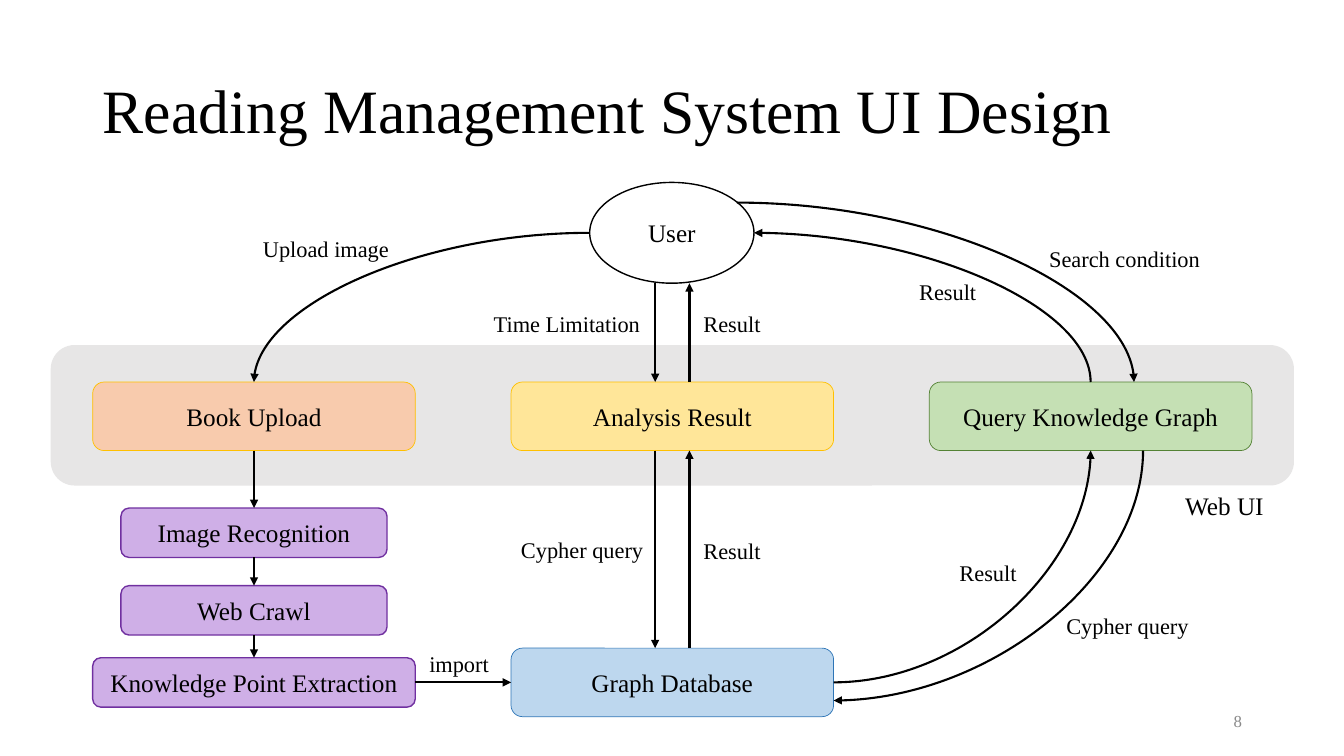
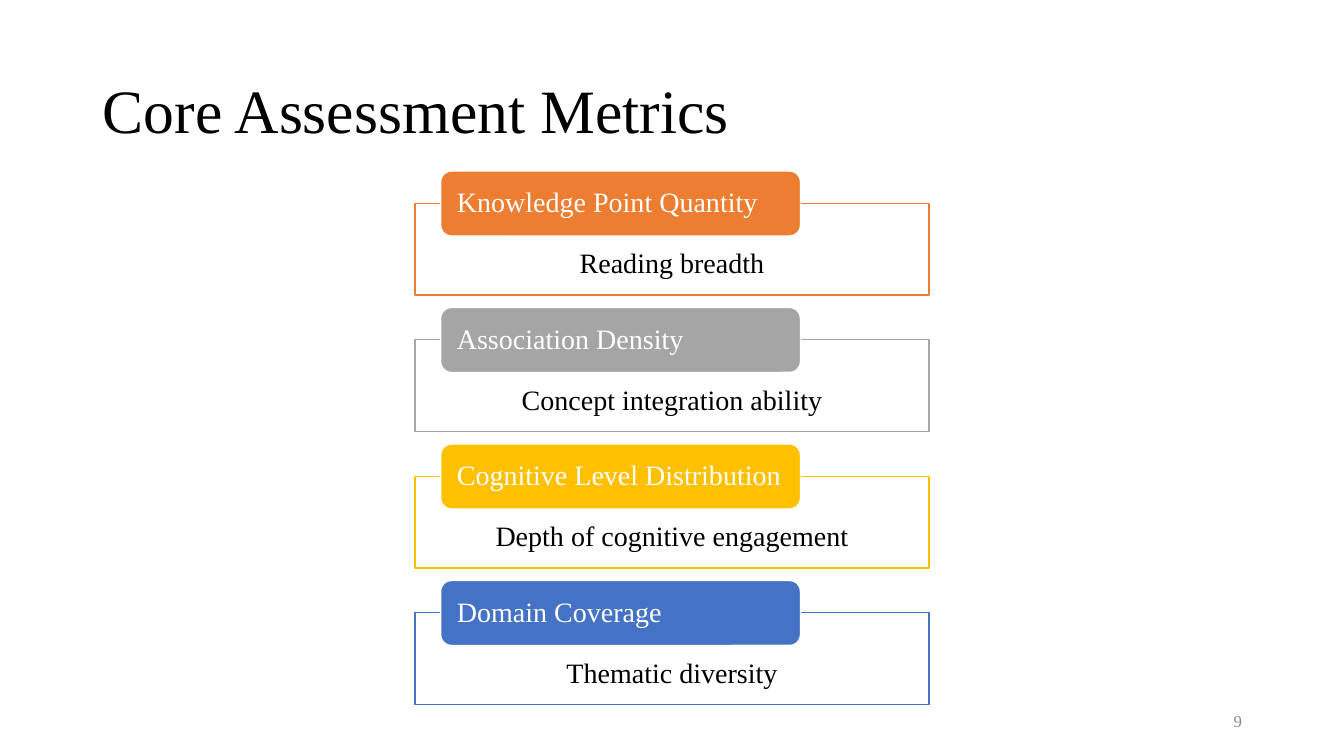
import collections

import lxml.etree
import pptx
import pptx.dml.color
import pptx.enum.shapes
import pptx.enum.text
import pptx.oxml.ns
import pptx.util

RGB = pptx.dml.color.RGBColor
SHAPE = pptx.enum.shapes.MSO_SHAPE
CONNECTOR = pptx.enum.shapes.MSO_CONNECTOR
ALIGN = pptx.enum.text.PP_ALIGN
ANCHOR = pptx.enum.text.MSO_ANCHOR
FIT = pptx.enum.text.MSO_AUTO_SIZE
qn = pptx.oxml.ns.qn

BLACK = RGB(0x00, 0x00, 0x00)
WHITE = RGB(0xFF, 0xFF, 0xFF)
PAGE_GRAY = RGB(0x89, 0x89, 0x89)
BAND_GRAY = RGB(0xE7, 0xE6, 0xE6)
ORANGE = RGB(0xED, 0x7D, 0x31)
GRAY = RGB(0xA5, 0xA5, 0xA5)
GOLD = RGB(0xFF, 0xC0, 0x00)
BLUE = RGB(0x44, 0x72, 0xC4)
PEACH = RGB(0xF8, 0xCB, 0xAD)
LIGHT_GOLD = RGB(0xFF, 0xE6, 0x99)
LIGHT_GREEN = RGB(0xC5, 0xE0, 0xB4)
GREEN = RGB(0x54, 0x82, 0x35)
LIGHT_BLUE = RGB(0xBD, 0xD7, 0xEE)
DARK_BLUE = RGB(0x2E, 0x75, 0xB6)
LILAC = RGB(0xCF, 0xAF, 0xE7)
PURPLE = RGB(0x70, 0x30, 0xA0)

FONT = "Times New Roman"
WIDTH, HEIGHT = pptx.util.Inches(13.33), pptx.util.Inches(7.5)
COLUMNS, ROWS = 160, 90

Box = collections.namedtuple("Box", "x y w h")

TITLE_BOX = Box(11.04, 4.8, 138, 17.4)
PAGE_BOX = Box(113.04, 83.4, 36, 4.8)
DIAGRAM_BOX = Box(6, 21, 148, 65)
METRICS_BOX = Box(49.4, 20.36, 61.2, 63.5)

METRICS = [
    ("Knowledge Point Quantity", "Reading breadth", ORANGE),
    ("Association Density", "Concept integration ability", GRAY),
    ("Cognitive Level Distribution", "Depth of cognitive engagement", GOLD),
    ("Domain Coverage", "Thematic diversity", BLUE),
]

LABELS = [
    ("Web UI", Box(133.92, 36.84, 11.88, 4.8), 18),
    ("import", Box(43.92, 55.8, 9.6, 4.44), 16),
    ("Search condition", Box(117.72, 7.62, 20.64, 4.44), 16),
    ("Upload image", Box(24.12, 6.36, 17.64, 4.44), 16),
    ("Time Limitation", Box(51.6, 15.36, 20.16, 4.44), 16),
    ("Cypher query", Box(54.84, 42.24, 17.16, 4.44), 16),
    ("Cypher query", Box(119.76, 51.24, 17.16, 4.44), 16),
    ("Result", Box(102.24, 11.52, 9.36, 4.44), 16),
    ("Result", Box(76.56, 15.36, 9.36, 4.44), 16),
    ("Result", Box(76.56, 42.36, 9.36, 4.44), 16),
    ("Result", Box(107.04, 45, 9.36, 4.44), 16),
]


def across(columns):
    return round(WIDTH * columns / COLUMNS)


def down(rows):
    return round(HEIGHT * rows / ROWS)


def place(box):
    return across(box.x), down(box.y), across(box.w), down(box.h)


def within(region, box):
    return box._replace(x=region.x + box.x, y=region.y + box.y)


def apply_format(target, formats):
    for name, value in formats.items():
        setattr(target, name, value)


def write(holder, text, size, color=BLACK, align=ALIGN.CENTER, spacing=1.0, **frame_format):
    frame = holder.text_frame
    frame.text = text
    apply_format(frame, {"word_wrap": True, "vertical_anchor": ANCHOR.MIDDLE, **frame_format})
    paragraph = frame.paragraphs[0]
    apply_format(paragraph, {"alignment": align, "line_spacing": spacing})
    font = paragraph.runs[0].font
    apply_format(font, {"name": FONT, "size": pptx.util.Pt(size)})
    font.color.rgb = color


def add_panel(slide, kind, box, fill, outline, weight=1):
    panel = slide.shapes.add_shape(kind, *place(box))
    panel.shadow.inherit = False
    panel.fill.solid()
    panel.fill.fore_color.rgb = fill
    panel.line.color.rgb = outline
    panel.line.width = pptx.util.Pt(weight)
    return panel


def add_node(slide, kind, text, box, fill, outline, weight=1):
    node = add_panel(slide, kind, box, fill, outline, weight)
    write(node, text, 18)
    return node


def add_arrow(slide, region, start, end, curved=False, arrow="tailEnd"):
    ends = [
        size(offset + value)
        for point in (start, end)
        for size, offset, value in zip((across, down), region[:2], point)
    ]
    kind = CONNECTOR.CURVE if curved else CONNECTOR.STRAIGHT
    connector = slide.shapes.add_connector(kind, *ends)
    connector.line.color.rgb = BLACK
    connector.line.width = pptx.util.Pt(1.5)
    properties = connector._element.spPr
    if curved:
        properties.find(qn("a:prstGeom")).set("prst", "curvedConnector2")
    outline = properties.find(qn("a:ln"))
    lxml.etree.SubElement(outline, qn("a:" + arrow)).set("type", "triangle")
    lxml.etree.SubElement(properties, qn("a:effectLst"))
    return connector


def join(slide, source, source_side, target, target_side):
    link = add_arrow(slide, DIAGRAM_BOX, (0, 0), (1, 1))
    link.begin_connect(source, source_side)
    link.end_connect(target, target_side)


def add_titled_slide(deck, title, page):
    slide = deck.slides.add_slide(deck.slide_layouts[5])
    heading = slide.shapes.title
    apply_format(heading, dict(zip(("left", "top", "width", "height"), place(TITLE_BOX))))
    write(heading, title, 44, align=ALIGN.LEFT, spacing=0.9)
    page_number = slide.shapes.add_textbox(*place(PAGE_BOX))
    write(page_number, page, 12, PAGE_GRAY, ALIGN.RIGHT)
    return slide


def add_system_diagram(slide, region):
    first_column, pitch, width, height = 5.04, 49.8, 38.4, 8.16
    lefts = [first_column + pitch * column for column in range(3)]
    book_x, center_x, query_x = [left + width / 2 for left in lefts]
    ui_top, database_top = 24.48, 56.16
    ui_bottom = ui_top + height
    user_box = Box(64.2, 0.72, 19.56, 12)
    user_middle = user_box.y + user_box.h / 2
    user_right = user_box.x + user_box.w
    user_bottom = user_box.y + user_box.h

    add_panel(slide, SHAPE.ROUNDED_RECTANGLE, within(region, Box(0.12, 20.16, 147.84, 16.56)),
              BAND_GRAY, BAND_GRAY)
    add_node(slide, SHAPE.OVAL, "User", within(region, user_box), WHITE, BLACK)

    main_steps = [
        ("Book Upload", 0, ui_top, PEACH, GOLD),
        ("Analysis Result", 1, ui_top, LIGHT_GOLD, GOLD),
        ("Query Knowledge Graph", 2, ui_top, LIGHT_GREEN, GREEN),
        ("Graph Database", 1, database_top, LIGHT_BLUE, DARK_BLUE),
    ]
    book, _, _, database = [
        add_node(slide, SHAPE.ROUNDED_RECTANGLE, text,
                 within(region, Box(lefts[column], top, width, height)), fill, outline, 0.5)
        for text, column, top, fill, outline in main_steps
    ]

    pipeline = [book]
    for text, top, step_width in [
        ("Image Recognition", 39.48, 31.68),
        ("Web Crawl", 48.72, 31.68),
        ("Knowledge Point Extraction", 57.3, width),
    ]:
        step_box = Box(book_x - step_width / 2, top, step_width, 5.88)
        pipeline.append(add_node(slide, SHAPE.ROUNDED_RECTANGLE, text,
                                 within(region, step_box), LILAC, PURPLE))
    for source, target in zip(pipeline, pipeline[1:]):
        join(slide, source, 2, target, 0)
    join(slide, pipeline[-1], 3, database, 1)

    for top, bottom in [(user_bottom, ui_top), (ui_bottom, database_top)]:
        add_arrow(slide, region, (center_x - 2.04, top), (center_x - 2.04, bottom))
        add_arrow(slide, region, (center_x + 2.04, bottom), (center_x + 2.04, top))

    database_right = lefts[1] + width
    for start, end, arrow in [
        ((user_box.x, user_middle), (book_x, ui_top), "tailEnd"),
        ((81.72, 3.12), (129, ui_top), "tailEnd"),
        ((user_right, user_middle), (query_x, ui_top), "headEnd"),
        ((database_right, database_top + height / 2), (query_x, ui_bottom), "tailEnd"),
        ((database_right, 62.4), (130.08, ui_bottom), "headEnd"),
    ]:
        add_arrow(slide, region, start, end, curved=True, arrow=arrow)

    for text, box, size in LABELS:
        label = slide.shapes.add_textbox(*place(within(region, box)))
        write(label, text, size, align=ALIGN.LEFT, word_wrap=False,
              auto_size=FIT.SHAPE_TO_FIT_TEXT, vertical_anchor=ANCHOR.TOP)


def add_metric_list(slide, region):
    pitch = 16.25
    frame_insets = {
        "margin_left": pptx.util.Inches(0.4),
        "margin_right": pptx.util.Inches(0.4),
        "margin_top": pptx.util.Inches(0.46),
        "margin_bottom": pptx.util.Inches(0.16),
        "vertical_anchor": ANCHOR.TOP,
    }
    tab_insets = {
        "margin_left": pptx.util.Inches(0.13),
        "margin_right": pptx.util.Inches(0.04),
        "margin_top": 0,
        "margin_bottom": 0,
    }
    for row, (metric, meaning, color) in enumerate(METRICS):
        top = row * pitch
        frame = add_panel(slide, SHAPE.RECTANGLE,
                          within(region, Box(0, top + 3.84, region.w, 10.92)), WHITE, color)
        write(frame, meaning, 20, spacing=0.9, **frame_insets)
        tab = add_panel(slide, SHAPE.ROUNDED_RECTANGLE,
                        within(region, Box(3.06, top, 42.84, 7.74)), color, WHITE)
        write(tab, metric, 20, WHITE, ALIGN.LEFT, 0.9, **tab_insets)


def main():
    deck = pptx.Presentation()
    apply_format(deck, {"slide_width": WIDTH, "slide_height": HEIGHT})
    design = add_titled_slide(deck, "Reading Management System UI Design", "8")
    add_system_diagram(design, DIAGRAM_BOX)
    assessment = add_titled_slide(deck, "Core Assessment Metrics", "9")
    add_metric_list(assessment, METRICS_BOX)
    deck.save("out.pptx")


if __name__ == "__main__":
    main()
